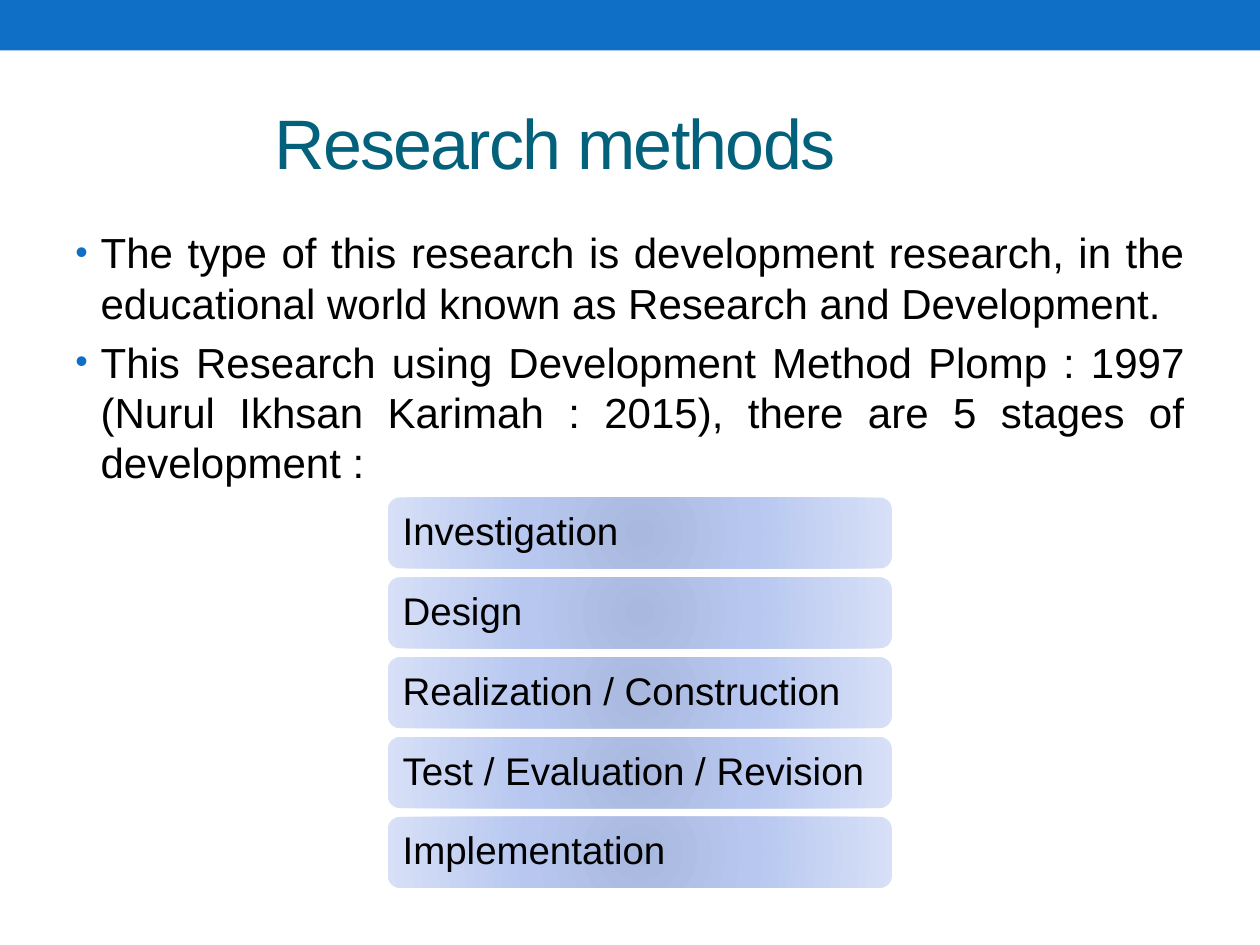
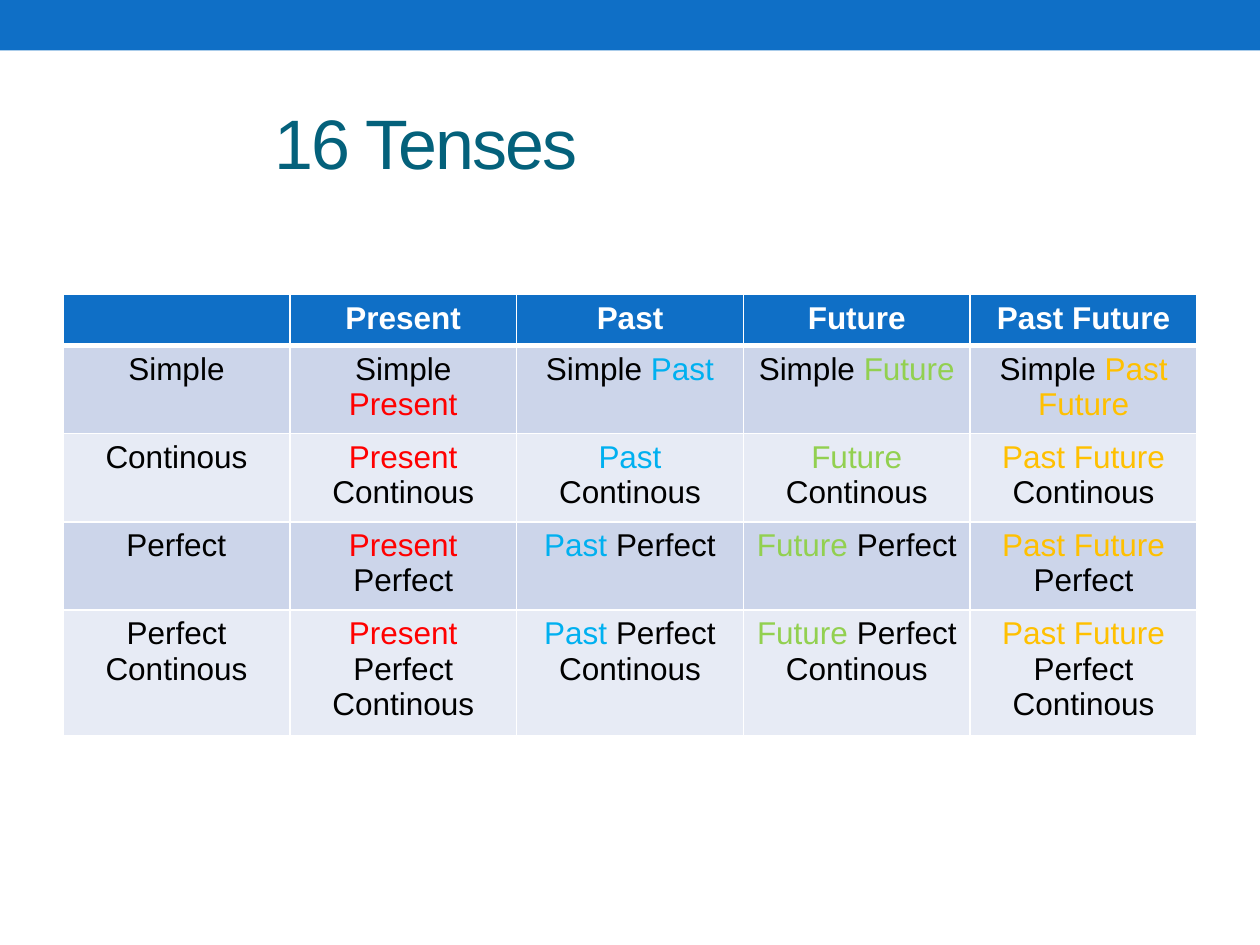
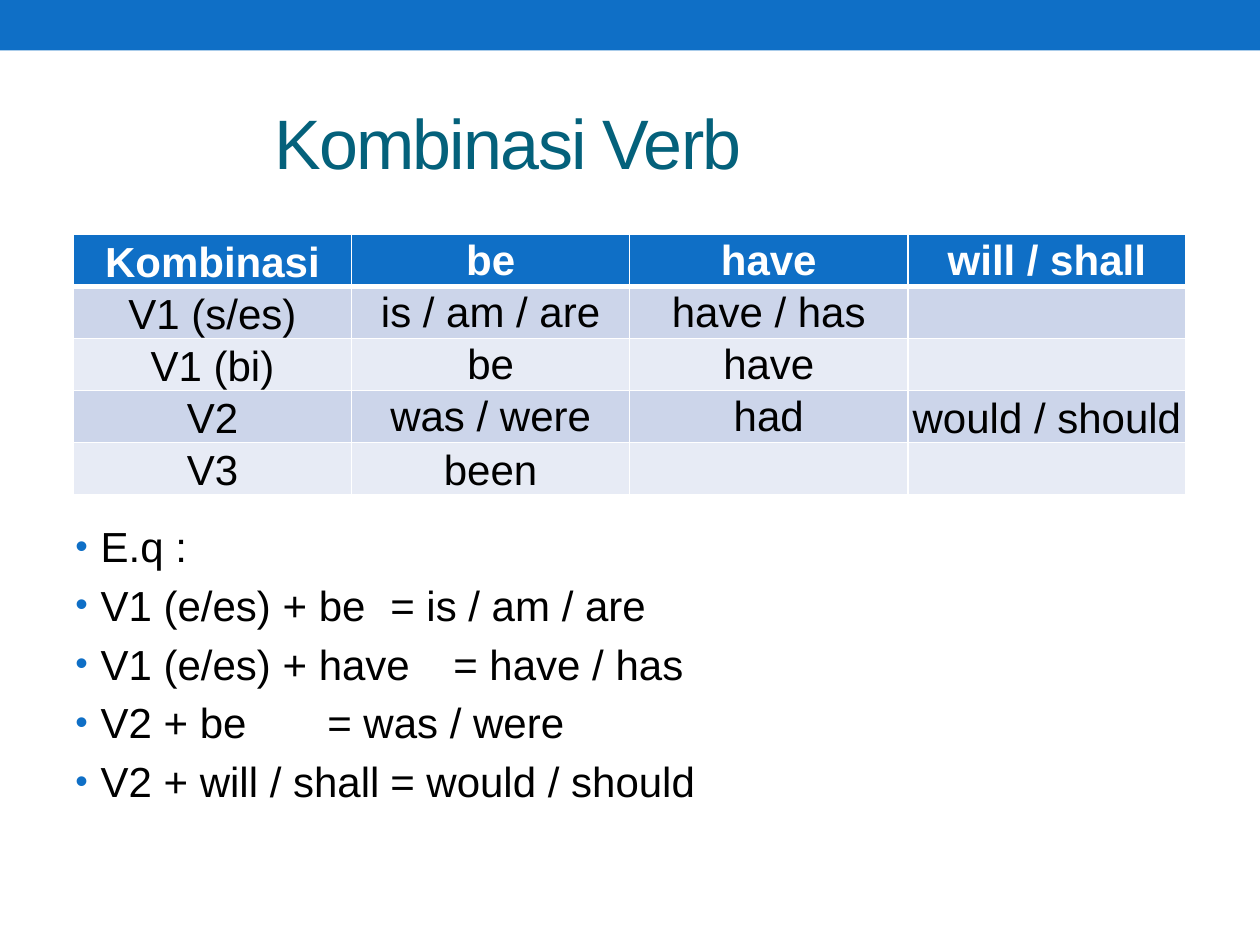
from dataclasses import dataclass

from lxml.etree import SubElement
from pptx import Presentation
from pptx.dml.color import RGBColor
from pptx.enum.shapes import MSO_SHAPE
from pptx.enum.text import MSO_ANCHOR, PP_ALIGN
from pptx.oxml.ns import qn
from pptx.util import Cm, Pt


@dataclass(frozen=True)
class Theme:
    font: str = "Arial"
    band: str = "0F6FC6"
    title: str = "04617B"
    ink: str = "000000"
    white: str = "FFFFFF"
    stripes: tuple = ("CCD5EA", "E7EBF5")
    stage_gradient: tuple = ((0, "A9B8DE"), (45, "B7C7EF"), (100, "D7E0F7"))
    title_size: int = 40
    body_size: int = 24
    stage_size: int = 22
    tense_size: int = 18


THEME = Theme()

# Content
METHODS = [
    "The type of this research is development research, in the educational "
    "world known as Research and Development.",
    "This Research using Development Method Plomp : 1997 (Nurul Ikhsan "
    "Karimah : 2015), there are 5 stages of development :",
]
STAGES = ["Investigation", "Design", "Realization / Construction",
          "Test / Evaluation / Revision", "Implementation"]

TENSES = [("Present", "FF0000"), ("Past", "00B0F0"),
          ("Future", "92D050"), ("Past Future", "FFC000")]
ASPECTS = ["Simple", "Continous", "Perfect", "Perfect Continous"]
TENSE_ROW_HEIGHTS = [1.03, 1.67, 1.67, 1.67, 2.38]

VERBS = [
    ["Kombinasi", "be", "have", "will / shall"],
    ["V1 (s/es)", "is / am / are", "have / has", ""],
    ["V1 (bi)", "be", "have", ""],
    ["V2", "was / were", "had", "would / should"],
    ["V3", "been", "", ""],
]
LOW_VERBS = {"would / should", "been"}
EXAMPLES = [
    "E.q :",
    "V1 (e/es) + be\t= is / am / are",
    "V1 (e/es) + have\t= have / has",
    "V2 + be\t\t= was / were",
    "V2 + will / shall\t= would / should",
]


# Shared helpers
def add_span(para, text, size, color=THEME.ink, bold=False):
    span = para.add_run()
    span.text = text
    font = span.font
    font.name, font.size, font.bold = THEME.font, Pt(size), bold
    font.color.rgb = RGBColor.from_string(color)
    return span


def next_para(frame, index):
    return frame.paragraphs[0] if index == 0 else frame.add_paragraph()


def add_page(deck, title):
    page = deck.slides.add_slide(deck.slide_layouts[6])
    band = page.shapes.add_shape(MSO_SHAPE.RECTANGLE, 0, 0, deck.slide_width, Cm(1.02))
    band.shadow.inherit = False
    band.fill.solid()
    band.fill.fore_color.rgb = RGBColor.from_string(THEME.band)
    band.line.fill.background()
    box = page.shapes.add_textbox(Cm(5.28), Cm(1.48), Cm(18.85), Cm(2.74))
    box.text_frame.word_wrap = True
    box.text_frame.vertical_anchor = MSO_ANCHOR.MIDDLE
    span = add_span(box.text_frame.paragraphs[0], title, THEME.title_size, THEME.title)
    span.font._element.set("spc", "-100")
    return page


def add_bullets(page, lines, top, height, align=PP_ALIGN.LEFT):
    box = page.shapes.add_textbox(Cm(1.27), Cm(top), Cm(22.86), Cm(height))
    box.text_frame.word_wrap = True
    for index, line in enumerate(lines):
        para = next_para(box.text_frame, index)
        para.alignment = align
        para.space_before = Pt(0.2 * THEME.body_size)
        properties = para._p.get_or_add_pPr()
        properties.set("marL", str(Cm(0.51)))
        properties.set("indent", str(-Cm(0.51)))
        color = SubElement(properties, qn("a:buClr"))
        SubElement(color, qn("a:srgbClr"), val=THEME.band)
        SubElement(properties, qn("a:buSzPct"), val="85000")
        SubElement(properties, qn("a:buFont"), typeface=THEME.font)
        SubElement(properties, qn("a:buChar"), char="•")
        add_span(para, line, THEME.body_size)


def set_borders(cell, widths):
    properties = cell._tc.get_or_add_tcPr()
    for side, width in widths.items():
        line = SubElement(properties, qn(f"a:ln{side}"), w=str(Pt(width)))
        fill = SubElement(line, qn("a:solidFill"))
        SubElement(fill, qn("a:srgbClr"), val=THEME.white)


def add_grid(page, rows, left, top, width, heights, size):
    """Each cell is a list of paragraphs; each paragraph lists (text, color)."""
    table = page.shapes.add_table(len(rows), len(rows[0]), Cm(left), Cm(top),
                                  Cm(width), Cm(sum(heights))).table
    table.horz_banding = False
    for r, row in enumerate(rows):
        table.rows[r].height = Cm(heights[r])
        header = r == 0
        for c, paragraphs in enumerate(row):
            cell = table.cell(r, c)
            set_borders(cell, {"L": 1, "R": 1, "T": 3 if r == 1 else 1,
                               "B": 3 if header else 1})
            cell.fill.solid()
            cell.fill.fore_color.rgb = RGBColor.from_string(
                THEME.band if header else THEME.stripes[(r - 1) % 2])
            for index, spans in enumerate(paragraphs):
                para = next_para(cell.text_frame, index)
                para.alignment = PP_ALIGN.CENTER
                for text, color in spans:
                    add_span(para, text, size, color, bold=header)
    return table


def plain_cell(text, color=THEME.ink):
    return [[(text, color)]] if text else []


# Research methods
def add_stage(page, name, top):
    stage = page.shapes.add_shape(MSO_SHAPE.ROUNDED_RECTANGLE,
                                  Cm(7.82), Cm(top), Cm(10.16), Cm(1.43))
    stage.shadow.inherit = False
    stage.line.fill.background()
    stage.fill.gradient()
    gradient = stage._element.spPr.find(qn("a:gradFill"))
    for part in list(gradient):
        gradient.remove(part)
    stops = SubElement(gradient, qn("a:gsLst"))
    for position, color in THEME.stage_gradient:
        stop = SubElement(stops, qn("a:gs"), pos=str(position * 1000))
        SubElement(stop, qn("a:srgbClr"), val=color)
    circle = SubElement(gradient, qn("a:path"), path="circle")
    SubElement(circle, qn("a:fillToRect"), {side: "100000" for side in "ltrb"})

    frame = stage.text_frame
    frame.word_wrap = True
    frame.vertical_anchor = MSO_ANCHOR.MIDDLE
    frame.margin_left = frame.margin_right = Cm(0.23)
    para = frame.paragraphs[0]
    para.alignment = PP_ALIGN.LEFT
    para.line_spacing = 0.9
    add_span(para, name, THEME.stage_size)


def build_methods(deck):
    page = add_page(deck, "Research methods")
    add_bullets(page, METHODS, 4.45, 13.54, PP_ALIGN.JUSTIFY)
    for index, name in enumerate(STAGES):
        add_stage(page, name, 10.03 + 1.61 * index)


# 16 tenses
def tense_cell(aspect, tense, color):
    if aspect == "Simple":
        return [[("Simple ", THEME.ink), (tense, color)]]
    if tense == "Past Future":
        return [[(tense, color)], [(aspect, THEME.ink)]]
    return [[(f"{tense} ", color), (aspect, THEME.ink)]]


def build_tenses(deck):
    page = add_page(deck, "16 Tenses")
    rows = [[[]] + [plain_cell(tense, THEME.white) for tense, _ in TENSES]]
    for aspect in ASPECTS:
        rows.append([plain_cell(aspect)]
                    + [tense_cell(aspect, tense, color) for tense, color in TENSES])
    add_grid(page, rows, 1.27, 5.93, 22.86, TENSE_ROW_HEIGHTS, THEME.tense_size)


# Verb combinations
def build_verbs(deck):
    page = add_page(deck, "Kombinasi Verb")
    add_bullets(page, EXAMPLES, 10.37, 7.62)
    rows = [[plain_cell(text, THEME.ink if r else THEME.white) for text in row]
            for r, row in enumerate(VERBS)]
    table = add_grid(page, rows, 1.48, 4.73, 22.43, [1.03] * len(rows), THEME.body_size)
    for r, row in enumerate(VERBS):
        for c, text in enumerate(row):
            cell = table.cell(r, c)
            low = c == 0 or text in LOW_VERBS
            cell.vertical_anchor = MSO_ANCHOR.BOTTOM if low else MSO_ANCHOR.MIDDLE
            cell.margin_left = cell.margin_right = cell.margin_top = Cm(0.03)
            cell.margin_bottom = 0


def main():
    deck = Presentation()
    deck.slide_width, deck.slide_height = Cm(25.4), Cm(19.05)
    build_methods(deck)
    build_tenses(deck)
    build_verbs(deck)
    deck.save("out.pptx")


if __name__ == "__main__":
    main()
